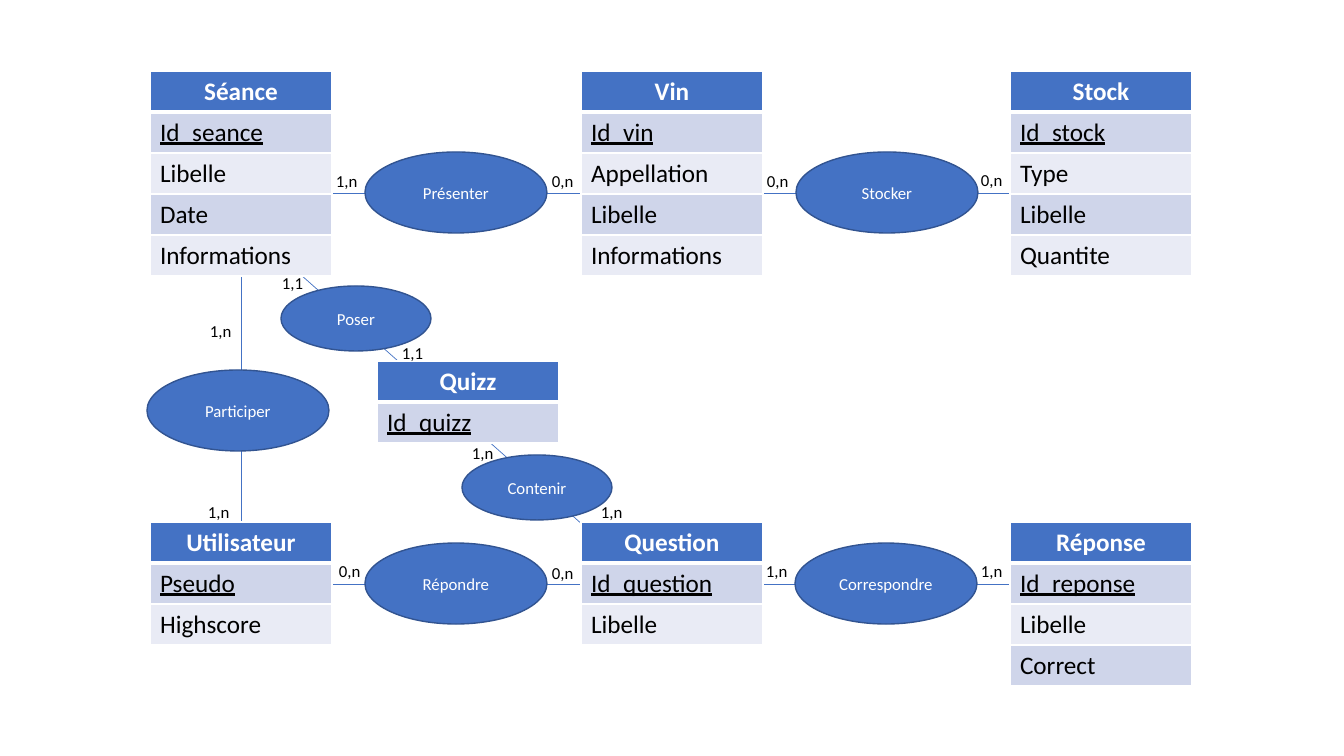
from lxml import etree
from pptx import Presentation
from pptx.dml.color import RGBColor
from pptx.enum.shapes import MSO_CONNECTOR, MSO_SHAPE
from pptx.enum.text import MSO_ANCHOR, MSO_AUTO_SIZE, PP_ALIGN
from pptx.oxml.ns import qn
from pptx.util import Pt

STRAIGHT, OVAL = MSO_CONNECTOR.STRAIGHT, MSO_SHAPE.OVAL
MIDDLE, FIT = MSO_ANCHOR.MIDDLE, MSO_AUTO_SIZE.SHAPE_TO_FIT_TEXT
LEFT, CENTER = PP_ALIGN.LEFT, PP_ALIGN.CENTER
PX = 914400 / 100.8
COLORS = {"blue": "4472C4", "edge": "325491", "odd": "CFD5EA", "even": "E9EBF5",
          "white": "FFFFFF", "black": "000000"}

COL1, COL2, COL3 = 150, 581, 1010
TOP, BOTTOM = 71, 522
ENTITY_W, ROW_H = 182, 41
LARGE, SMALL = (182, 81), (150, 65)
LABEL = (47, 30)

ENTITIES = [
    (COL1, TOP, ["Séance", "Id_seance", "Libelle", "Date", "Informations"]),
    (COL2, TOP, ["Vin", "Id_vin", "Appellation", "Libelle", "Informations"]),
    (COL3, TOP, ["Stock", "Id_stock", "Type", "Libelle", "Quantite"]),
    (377, 361, ["Quizz", "Id_quizz"]),
    (COL1, BOTTOM, ["Utilisateur", "Pseudo", "Highscore"]),
    (COL2, BOTTOM, ["Question", "Id_question", "Libelle"]),
    (COL3, BOTTOM, ["Réponse", "Id_reponse", "Libelle", "Correct"]),
]
ASSOCIATIONS = [
    ("Présenter", 365, 152, LARGE), ("Stocker", 796, 152, LARGE),
    ("Participer", 147, 370, LARGE), ("Répondre", 365, 543, LARGE),
    ("Correspondre", 795, 543, LARGE), ("Poser", 281, 286, SMALL),
    ("Contenir", 462, 455, SMALL),
]
CARDINALITIES = {
    "0,n": [(542, 166), (757, 166), (971, 165), (329, 556), (542, 558)],
    "1,n": [(326, 166), (200, 316), (198, 497), (462, 438), (591, 497),
            (756, 556), (971, 556)],
    "1,1": [(272, 268), (392, 338)],
}
LINKS = [(292, 267, 672, 604), (241, 584, 1060, 584),
         (307, 193, 1127, 193), (241, 178, 241, 595)]


def emu(*lengths):
    return [round(v * PX) for v in lengths]


def rgb(name):
    return RGBColor.from_string(COLORS[name])


def write(tf, text, size, color, align=LEFT, **formats):
    p = tf.paragraphs[0]
    p.alignment = align
    r = p.add_run()
    r.text = text
    for key, value in {"name": "Calibri", "size": Pt(size), **formats}.items():
        setattr(r.font, key, value)
    r.font.color.rgb = rgb(color)


def set_borders(cell, widths):
    tc_pr = cell._tc.get_or_add_tcPr()
    for i, (side, width) in enumerate(widths.items()):
        ln = etree.Element(qn("a:ln" + side), w=str(Pt(width)))
        fill = etree.SubElement(ln, qn("a:solidFill"))
        etree.SubElement(fill, qn("a:srgbClr"), val=COLORS["white"])
        tc_pr.insert(i, ln)


def add_link(s, ends):
    line = s.shapes.add_connector(STRAIGHT, *emu(*ends))
    line.line.color.rgb = rgb("blue")
    line.line.width = Pt(0.5)
    etree.SubElement(line._element.spPr, qn("a:effectLst"))


def add_entity(s, x, y, names):
    box = emu(x, y, ENTITY_W, ROW_H * len(names))
    table = s.shapes.add_table(len(names), 1, *box).table
    for i, name in enumerate(names):
        table.rows[i].height = emu(ROW_H)[0]
        cell = table.cell(i, 0)
        cell.fill.solid()
        cell.fill.fore_color.rgb = rgb("blue" if i == 0 else "odd" if i % 2 else "even")
        set_borders(cell, {"L": 1, "R": 1, "T": 3 if i == 1 else 1, "B": 3 if i == 0 else 1})
        if i == 0:
            write(cell.text_frame, name, 18, "white", CENTER, bold=True)
        else:
            write(cell.text_frame, name, 18, "black", bold=False, underline=i == 1)


def add_cardinality(s, text, x, y):
    tf = s.shapes.add_textbox(*emu(x, y, *LABEL)).text_frame
    tf.word_wrap = True
    tf.auto_size = FIT
    write(tf, text, 12, "black")


def add_association(s, name, x, y, size):
    sp = s.shapes.add_shape(OVAL, *emu(x, y, *size))
    sp.shadow.inherit = False
    sp.fill.solid()
    sp.fill.fore_color.rgb = rgb("blue")
    sp.line.color.rgb = rgb("edge")
    sp.line.width = Pt(1)
    sp.text_frame.vertical_anchor = MIDDLE
    write(sp.text_frame, name, 12, "white", CENTER)


def main():
    """Build the entity-association diagram of the wine tasting database."""
    prs = Presentation()
    prs.slide_width, prs.slide_height = emu(1344, 756)
    s = prs.slides.add_slide(prs.slide_layouts[6])
    for ends in LINKS:
        add_link(s, ends)
    for entity in ENTITIES:
        add_entity(s, *entity)
    for text, places in CARDINALITIES.items():
        for x, y in places:
            add_cardinality(s, text, x, y)
    for association in ASSOCIATIONS:
        add_association(s, *association)
    prs.save("out.pptx")


main()
